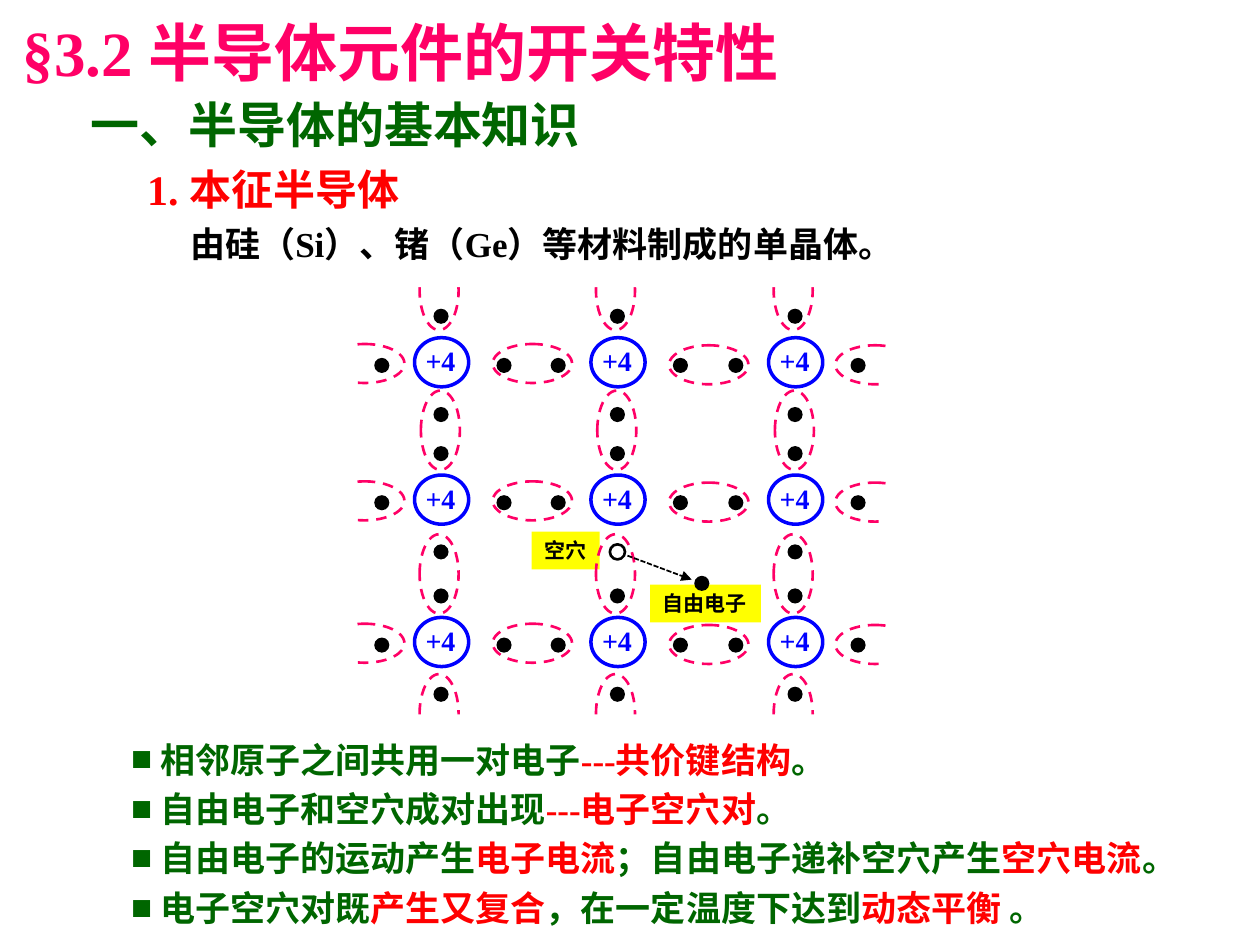
import pptx
import pptx.util
import pptx.dml.color
import pptx.enum.dml
import pptx.enum.shapes
import pptx.enum.text
import pptx.oxml
import pptx.oxml.ns

Inches = pptx.util.Inches
Pt = pptx.util.Pt
RGBColor = pptx.dml.color.RGBColor
SHAPE = pptx.enum.shapes.MSO_SHAPE
DASH = pptx.enum.dml.MSO_LINE

PINK = RGBColor(0xFF, 0x00, 0x66)
GREEN = RGBColor(0x00, 0x66, 0x00)
RED = RGBColor(0xFF, 0x00, 0x00)
BLUE = RGBColor(0x00, 0x00, 0xFF)
YELLOW = RGBColor(0xFF, 0xFF, 0x00)
BLACK = RGBColor(0x00, 0x00, 0x00)
WHITE = RGBColor(0xFF, 0xFF, 0xFF)

SERIF = "Times New Roman"
SANS = "Noto Sans CJK SC"

# Lattice geometry: atom corners, bond size and electron size
COLUMNS = [3.29, 4.69, 6.1]
ROWS = [2.68, 3.77, 4.9]
BOND_WIDTH, BOND_LENGTH = 0.31, 0.63
DOT = 0.12

BULLETS = [
    [("相邻原子之间共用一对电子", GREEN), ("---共价键结构", RED), ("。", GREEN)],
    [("自由电子和空穴成对出现", GREEN), ("---电子空穴对", RED), ("。", GREEN)],
    [("自由电子的运动产生", GREEN), ("电子电流", RED),
     ("；自由电子递补空穴产生", GREEN), ("空穴电流", RED), ("。", GREEN)],
    [("电子空穴对既", GREEN), ("产生又复合", RED),
     ("，在一定温度下达到", GREEN), ("动态平衡", RED), (" 。", GREEN)],
]


def add_run(paragraph, text, size=20, color=BLACK, font=SERIF):
    run = paragraph.add_run()
    run.text = text
    run.font.size = Pt(size)
    run.font.bold = True
    run.font.color.rgb = color
    run.font.name = font
    east_asian = pptx.oxml.parse_xml(
        f'<a:ea {pptx.oxml.ns.nsdecls("a")} typeface="{SANS}"/>')
    run.font._element.find(pptx.oxml.ns.qn("a:latin")).addnext(east_asian)


def prepare_frame(shape, wrap=True):
    frame = shape.text_frame
    frame.word_wrap = wrap
    frame.auto_size = pptx.enum.text.MSO_AUTO_SIZE.NONE
    frame.vertical_anchor = pptx.enum.text.MSO_ANCHOR.TOP
    paragraph = frame.paragraphs[0]
    paragraph.alignment = pptx.enum.text.PP_ALIGN.LEFT
    return paragraph


def place(shape, left, top, width, height):
    shape.left, shape.top = Inches(left), Inches(top)
    shape.width, shape.height = Inches(width), Inches(height)


def add_text_box(shapes, text, left, top, width, height, wrap=False, **style):
    box = shapes.add_textbox(Inches(left), Inches(top), Inches(width), Inches(height))
    add_run(prepare_frame(box, wrap), text, **style)


def add_figure(shapes, kind, left, top, width, height,
               fill=None, line=None, line_width=1.5, dash=None):
    shape = shapes.add_shape(kind, Inches(left), Inches(top), Inches(width), Inches(height))
    shape.shadow.inherit = False
    if fill is None:
        shape.fill.background()
    else:
        shape.fill.solid()
        shape.fill.fore_color.rgb = fill
    if line is None:
        shape.line.fill.background()
    else:
        shape.line.color.rgb = line
        shape.line.width = Pt(line_width)
        shape.line.dash_style = dash
    return shape


def add_electron(shapes, left, top):
    add_figure(shapes, SHAPE.OVAL, left, top, DOT, DOT, fill=BLACK)


def add_label(shapes, text, left, top, width):
    label = add_figure(shapes, SHAPE.RECTANGLE, left, top, width, 0.3, fill=YELLOW)
    add_run(prepare_frame(label, wrap=False), text, size=12, font=SANS)


def add_atom(slide, left, top, has_hole):
    shapes = slide.shapes.add_group_shape().shapes
    add_figure(shapes, SHAPE.OVAL, left, top, 0.43, 0.39, line=BLUE, line_width=2)
    add_text_box(shapes, "+4", left - 0.01, top, 0.44, 0.37, size=16, color=BLUE)
    offsets = [(0.15, -0.23), (-0.32, 0.16), (0.65, 0.16)]
    if not has_hole:
        offsets.append((0.15, 0.55))
    for across, down in offsets:
        add_electron(shapes, left + across, top + down)


def add_bond(slide, left, top, rotation=0):
    bond = add_figure(slide.shapes, SHAPE.OVAL, left, top, BOND_WIDTH, BOND_LENGTH,
                      line=PINK, dash=DASH.DASH)
    bond.rotation = rotation


def add_lattice(slide):
    for row, top in enumerate(ROWS):
        for column, left in enumerate(COLUMNS):
            add_atom(slide, left, top, has_hole=(row == column == 1))
    # Covalent bonds, upright between rows and turned between columns
    for left in COLUMNS:
        for top in [1.99, 3.1, 4.24, 5.35]:
            add_bond(slide, left + (0.05 if top == 3.1 else 0.04), top)
    for top in ROWS:
        for left in [2.74, 4.07, 5.47, 6.79]:
            add_bond(slide, left, top - (0.11 if left < 5 else 0.1), rotation=90)
    # White strips cut the outer bonds in half
    for strip in [(3.12, 1.97, 3.67, 0.31), (3.12, 5.67, 3.67, 0.34),
                  (7.03, 2.29, 0.31, 3.67), (2.5, 2.21, 0.31, 3.67)]:
        add_figure(slide.shapes, SHAPE.RECTANGLE, *strip, fill=WHITE)


def add_freed_electron(slide):
    shapes = slide.shapes.add_group_shape().shapes
    add_electron(shapes, 5.51, 4.57)
    add_figure(shapes, SHAPE.OVAL, 4.84, 4.32, DOT, DOT, fill=WHITE, line=BLACK)
    arrow = shapes.add_connector(pptx.enum.shapes.MSO_CONNECTOR.STRAIGHT,
                                 Inches(4.98), Inches(4.41), Inches(5.49), Inches(4.6))
    arrow.line.color.rgb = BLACK
    arrow.line.width = Pt(1)
    arrow.line.dash_style = DASH.SQUARE_DOT
    namespace = pptx.oxml.ns.nsdecls("a")
    arrow.line._get_or_add_ln().append(
        pptx.oxml.parse_xml(f'<a:tailEnd {namespace} type="triangle"/>'))
    arrow._element.spPr.append(pptx.oxml.parse_xml(f"<a:effectLst {namespace}/>"))


def add_bullets(slide):
    body = slide.placeholders[1]
    # Bring the list in front of the white strips
    slide.shapes._spTree.append(body._element)
    place(body, 0.94, 5.75, 8.6, 1.66)
    paragraph = prepare_frame(body)
    namespace = pptx.oxml.ns.nsdecls("a")
    for index, runs in enumerate(BULLETS):
        if index:
            paragraph = body.text_frame.add_paragraph()
        paragraph.alignment = pptx.enum.text.PP_ALIGN.LEFT
        paragraph.space_before = Pt(0)
        paragraph.line_spacing = Pt(28.2)
        properties = paragraph._element.get_or_add_pPr()
        properties.set("marL", str(Inches(0.23)))
        properties.set("indent", str(-Inches(0.23)))
        for element in [f'<a:buFont {namespace} typeface="{SERIF}"/>',
                        f'<a:buChar {namespace} char="■"/>']:
            properties.append(pptx.oxml.parse_xml(element))
        for text, color in runs:
            add_run(paragraph, text, color=color)


def main():
    presentation = pptx.Presentation()
    presentation.slide_width, presentation.slide_height = Inches(10), Inches(7.5)
    slide = presentation.slides.add_slide(presentation.slide_layouts[1])

    # Headings
    title = slide.shapes.title
    place(title, 0.08, 0.06, 8.92, 0.71)
    add_run(prepare_frame(title), "§3.2 半导体元件的开关特性", size=36, color=PINK)
    add_text_box(slide.shapes, "一、半导体的基本知识", 0.62, 0.7, 4.15, 0.57,
                 size=28, color=GREEN)
    add_text_box(slide.shapes, "1. 本征半导体", 1.07, 1.25, 3.23, 0.55,
                 wrap=True, size=24, color=RED)

    # Crystal lattice with the freed electron and its hole
    add_label(slide.shapes, "自由电子", 5.16, 4.64, 0.88)
    add_label(slide.shapes, "空穴", 4.22, 4.22, 0.54)
    add_lattice(slide)
    add_freed_electron(slide)

    # Definition above the lattice and conclusions below it
    add_text_box(slide.shapes, "由硅（Si）、锗（Ge）等材料制成的单晶体。",
                 1.41, 1.72, 6.95, 0.55, wrap=True)
    add_bullets(slide)
    presentation.save("out.pptx")


if __name__ == "__main__":
    main()
